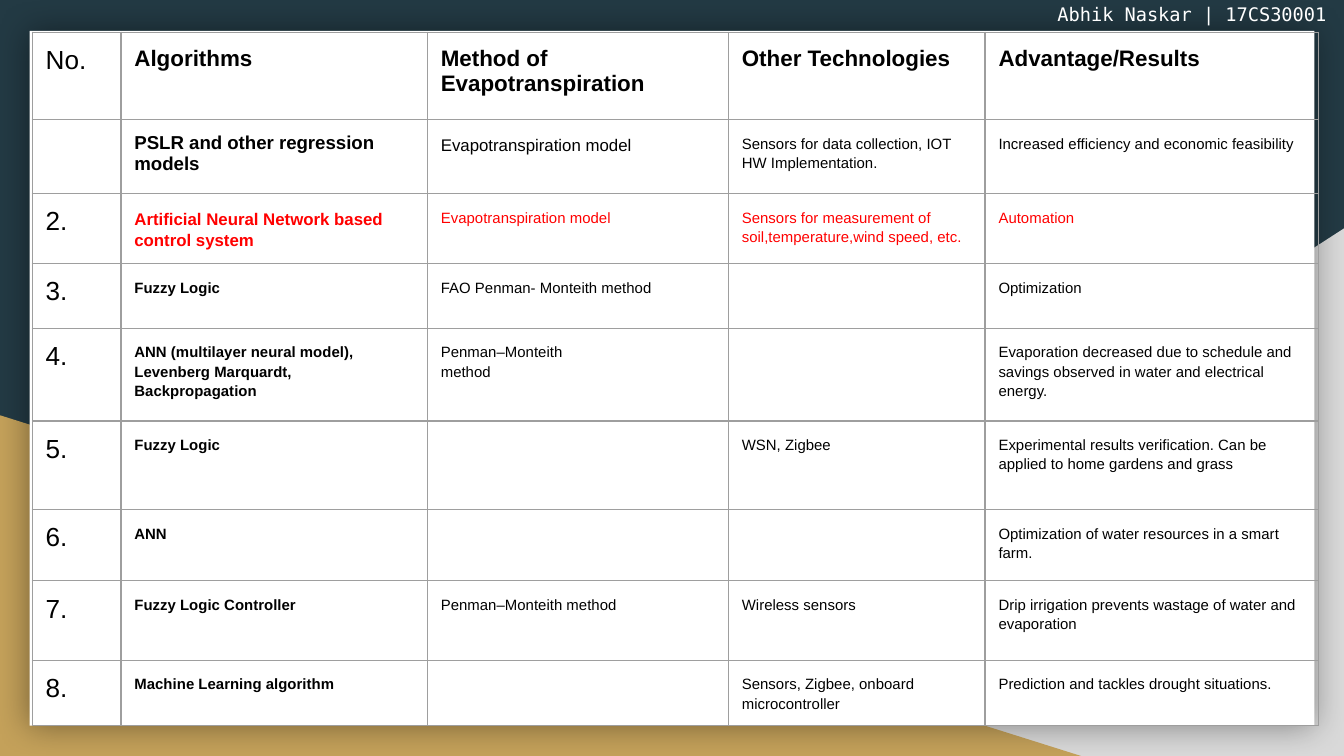
"""Build a one-slide table of irrigation control algorithms."""
from lxml import etree
from pptx import Presentation
from pptx.dml.color import RGBColor
from pptx.enum import shapes
from pptx.oxml import parse_xml
from pptx.oxml.ns import nsdecls, qn
from pptx.util import Inches, Pt

NAVY = RGBColor(0x23, 0x3A, 0x44)
GREY = RGBColor(0xD9, 0xD9, 0xD9)
GOLD = RGBColor(0xC4, 0xA1, 0x5A)
WHITE = RGBColor(0xFF, 0xFF, 0xFF)
BLACK = RGBColor(0, 0, 0)
RED = RGBColor(0xFF, 0, 0)
EDGE = RGBColor(0x9E, 0x9E, 0x9E)
SANS = "Arial"
MONO = "DejaVu Sans Mono"
COLS = [0.66, 2.28, 2.24, 1.91, 2.48]
HIGHS = [0.65, 0.55, 0.46, 0.48, 0.69, 0.66, 0.53, 0.59, 0.43]
ROWS = [
    ["No.", "Algorithms", "Method of Evapotranspiration", "Other Technologies",
     "Advantage/Results"],
    ["", "PSLR and other regression models", "Evapotranspiration model",
     "Sensors for data collection, IOT HW Implementation.",
     "Increased efficiency and economic feasibility"],
    ["2.", "Artificial Neural Network based control system",
     "Evapotranspiration model",
     "Sensors for measurement of\nsoil,temperature,wind speed, etc.",
     "Automation"],
    ["3.", "Fuzzy Logic", "FAO Penman- Monteith method", "", "Optimization"],
    ["4.", "ANN (multilayer neural model),\nLevenberg Marquardt, Backpropagation",
     "Penman–Monteith\nmethod", "",
     "Evaporation decreased due to schedule and savings observed in water "
     "and electrical energy."],
    ["5.", "Fuzzy Logic", "", "WSN, Zigbee",
     "Experimental results verification. Can be applied to home gardens and grass"],
    ["6.", "ANN", "", "", "Optimization of water resources in a smart farm."],
    ["7.", "Fuzzy Logic Controller", "Penman–Monteith method",
     "Wireless sensors",
     "Drip irrigation prevents wastage of water and evaporation"],
    ["8.", "Machine Learning algorithm", "",
     "Sensors, Zigbee, onboard\nmicrocontroller",
     "Prediction and tackles drought situations."],
]
SIZES = {(1, 1): 10, (1, 2): 9, (2, 1): 9}


def write(frame, words, size, color, bold=False, face=SANS, space=None):
    """Fill a text frame, one paragraph per line."""
    for i, line in enumerate(words.split("\n")):
        para = frame.add_paragraph() if i else frame.paragraphs[0]
        if space:
            para.line_spacing = space
        run = para.add_run()
        run.text = line
        font = run.font
        font.name, font.size, font.bold = face, Pt(size), bold
        font.color.rgb = color


def pad(box):
    """Set equal insets on a cell or a text frame."""
    box.margin_left = box.margin_right = Inches(0.1)
    box.margin_top = box.margin_bottom = Inches(0.1)


def add_block(slide, kind, spot, color, flip=False):
    """Add a plain filled shape."""
    block = slide.shapes.add_shape(kind, *map(Inches, spot))
    block.shadow.inherit = False
    block.fill.solid()
    block.fill.fore_color.rgb = color
    block.line.fill.background()
    if flip:
        block.element.spPr.find(qn("a:xfrm")).set("flipH", "1")
    return block


def add_glow(block):
    """Give a shape a soft dark shadow on all sides."""
    glow = block.element.spPr.find(qn("a:effectLst"))
    glow.append(parse_xml(
        f'<a:outerShdw {nsdecls("a")} blurRad="{Pt(18)}" dist="0" dir="0" '
        'algn="ctr" rotWithShape="0"><a:srgbClr val="000000">'
        '<a:alpha val="40000"/></a:srgbClr></a:outerShdw>'))


def add_edges(cell):
    """Draw the four borders of a cell."""
    props = cell._tc.get_or_add_tcPr()
    for side in ("lnL", "lnR", "lnT", "lnB"):
        line = etree.SubElement(props, qn(f"a:{side}"), w=str(Pt(0.75)))
        fill = etree.SubElement(line, qn("a:solidFill"))
        etree.SubElement(fill, qn("a:srgbClr"), val=str(EDGE))


def fill_cell(cell, row, col):
    """Style one cell and write its words."""
    add_edges(cell)
    cell.fill.background()
    words = ROWS[row][col]
    if not words:
        return
    pad(cell)
    size = 14 if col == 0 else 12 if row == 0 else SIZES.get((row, col), 8)
    color = RED if row == 2 and col else BLACK
    bold = col == 1 or (row == 0 and col > 0)
    write(cell.text_frame, words, size, color, bold,
          space=1.15 if size < 10 else None)


def add_grid(slide):
    """Add the table of algorithms."""
    grid = slide.shapes.add_table(
        len(ROWS), len(COLS), Inches(0.24), Inches(0.24),
        Inches(sum(COLS)), Inches(sum(HIGHS))).table
    grid.first_row = grid.horz_banding = False
    for col, wide in zip(grid.columns, COLS):
        col.width = Inches(wide)
    for r, high in enumerate(HIGHS):
        grid.rows[r].height = Inches(high)
        for c in range(len(COLS)):
            fill_cell(grid.cell(r, c), r, c)


def add_label(slide, spot, words):
    """Add the author label."""
    frame = slide.shapes.add_textbox(*map(Inches, spot)).text_frame
    frame.word_wrap = True
    pad(frame)
    write(frame, words, 10, WHITE, face=MONO)


def main():
    """Build and save the slide."""
    deck = Presentation()
    deck.slide_width = Inches(10)
    deck.slide_height = Inches(10 * 9 / 16)
    slide = deck.slides.add_slide(deck.slide_layouts[6])
    back = slide.background.fill
    back.solid()
    back.fore_color.rgb = NAVY
    kind = shapes.MSO_SHAPE
    add_block(slide, kind.RIGHT_TRIANGLE, (3.92, 1.7, 6.08, 3.93), GREY, True)
    add_block(slide, kind.RIGHT_TRIANGLE, (0, 3.09, 8.06, 2.54), GOLD)
    add_glow(add_block(slide, kind.RECTANGLE, (0.22, 0.23, 9.56, 5.17), WHITE))
    add_grid(slide)
    add_label(slide, (7.77, -0.06, 2.23, 0.34), "Abhik Naskar | 17CS30001")
    deck.save("out.pptx")


if __name__ == "__main__":
    main()
